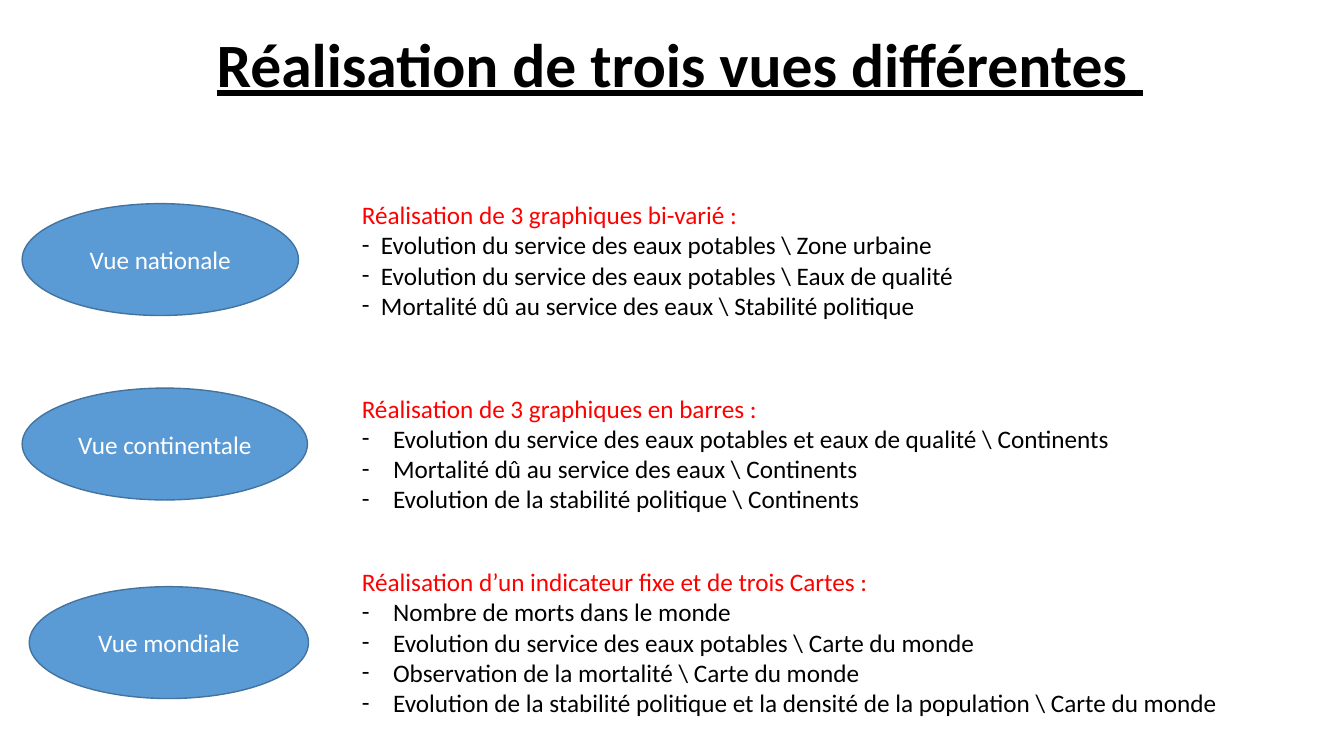
from dataclasses import dataclass

from lxml.etree import SubElement
from pptx import Presentation
from pptx.dml.color import RGBColor
from pptx.enum.shapes import MSO_SHAPE
from pptx.enum.text import MSO_ANCHOR, PP_ALIGN
from pptx.oxml.ns import qn
from pptx.slide import Slide
from pptx.text.text import _Paragraph
from pptx.util import Inches, Pt


@dataclass(frozen=True)
class Theme:
    """Colours, font and type sizes of the slide."""
    font: str = "Calibri"
    title_size: Pt = Pt(44)
    body_size: Pt = Pt(18)
    ink: RGBColor = RGBColor(0, 0, 0)
    heading: RGBColor = RGBColor(255, 0, 0)
    label: RGBColor = RGBColor(255, 255, 255)
    oval_fill: RGBColor = RGBColor(0x5B, 0x9B, 0xD5)
    oval_line: RGBColor = RGBColor(0x43, 0x73, 0x9E)


@dataclass(frozen=True)
class View:
    """One view: its oval, its heading and its list; lengths in inches."""
    name: str
    oval_left: float
    oval_top: float
    oval_width: float
    details_top: float
    details_width: float
    indent: float
    heading: str
    items: tuple[str, ...]


THEME = Theme()
OVAL_HEIGHT = 1.11
DETAILS_LEFT = 3.49
LINE_HEIGHT = 0.3
INSETS = 0.1

VIEWS = (
    View("Vue nationale", 0.22, 2.02, 2.74, 1.93, 6.71, 0.19,
         "Réalisation de 3 graphiques bi-varié :",
         ("Evolution du service des eaux potables \\ Zone urbaine",
          "Evolution du service des eaux potables \\ Eaux de qualité",
          "Mortalité dû au service des eaux \\ Stabilité politique")),
    View("Vue continentale", 0.22, 3.85, 2.83, 3.85, 8.37, 0.31,
         "Réalisation de 3 graphiques en barres :",
         ("Evolution du service des eaux potables et eaux de qualité \\ Continents",
          "Mortalité dû au service des eaux \\ Continents",
          "Evolution de la stabilité politique \\ Continents")),
    View("Vue mondiale", 0.29, 5.82, 2.77, 5.57, 8.99, 0.31,
         "Réalisation d’un indicateur fixe et de trois Cartes :",
         ("Nombre de morts dans le monde",
          "Evolution du service des eaux potables \\ Carte du monde",
          "Observation de la mortalité \\ Carte du monde",
          "Evolution de la stabilité politique et la densité de la population"
          " \\ Carte du monde")),
)


def write(paragraph: _Paragraph, text: str, color: RGBColor, size: Pt = THEME.body_size) -> None:
    """Fill a paragraph with text in the theme font."""
    paragraph.text = text
    for run in paragraph.runs:
        run.font.name = THEME.font
        run.font.size = size
        run.font.color.rgb = color


def add_dash(paragraph: _Paragraph, indent: float) -> None:
    """Give a paragraph a dash bullet with a hanging indent."""
    properties = paragraph._p.get_or_add_pPr()
    properties.set("marL", str(Inches(indent)))
    properties.set("indent", str(-Inches(indent)))
    SubElement(properties, qn("a:buFont"), typeface=THEME.font)
    SubElement(properties, qn("a:buChar"), char="-")


def add_title(slide: Slide, text: str) -> None:
    """Add the bold, underlined, centred title."""
    title = slide.shapes.add_textbox(Inches(0.99), Inches(-0.06), Inches(11.5), Inches(1.45))
    frame = title.text_frame
    frame.word_wrap = True
    frame.vertical_anchor = MSO_ANCHOR.MIDDLE
    paragraph = frame.paragraphs[0]
    write(paragraph, text, THEME.ink, THEME.title_size)
    paragraph.alignment = PP_ALIGN.CENTER
    paragraph.line_spacing = 0.9
    for run in paragraph.runs:
        run.font.bold = True
        run.font.underline = True


def add_oval(slide: Slide, view: View) -> None:
    """Add the oval that names a view."""
    oval = slide.shapes.add_shape(
        MSO_SHAPE.OVAL, Inches(view.oval_left), Inches(view.oval_top),
        Inches(view.oval_width), Inches(OVAL_HEIGHT))
    oval.shadow.inherit = False
    oval.fill.solid()
    oval.fill.fore_color.rgb = THEME.oval_fill
    oval.line.color.rgb = THEME.oval_line
    oval.line.width = Pt(1)
    frame = oval.text_frame
    frame.vertical_anchor = MSO_ANCHOR.MIDDLE
    write(frame.paragraphs[0], view.name, THEME.label)
    frame.paragraphs[0].alignment = PP_ALIGN.CENTER


def add_details(slide: Slide, view: View) -> None:
    """Add the red heading of a view and its dashed list."""
    height = LINE_HEIGHT * (1 + len(view.items)) + INSETS
    details = slide.shapes.add_textbox(
        Inches(DETAILS_LEFT), Inches(view.details_top),
        Inches(view.details_width), Inches(height))
    frame = details.text_frame
    frame.word_wrap = True
    write(frame.paragraphs[0], view.heading, THEME.heading)
    for item in view.items:
        paragraph = frame.add_paragraph()
        write(paragraph, item, THEME.ink)
        add_dash(paragraph, view.indent)


def main() -> None:
    """Build and save the slide."""
    presentation = Presentation()
    presentation.slide_width = Inches(13.33)
    presentation.slide_height = Inches(7.5)
    slide = presentation.slides.add_slide(presentation.slide_layouts[6])
    add_title(slide, "Réalisation de trois vues différentes ")
    for view in VIEWS:
        add_oval(slide, view)
        add_details(slide, view)
    presentation.save("out.pptx")


main()
